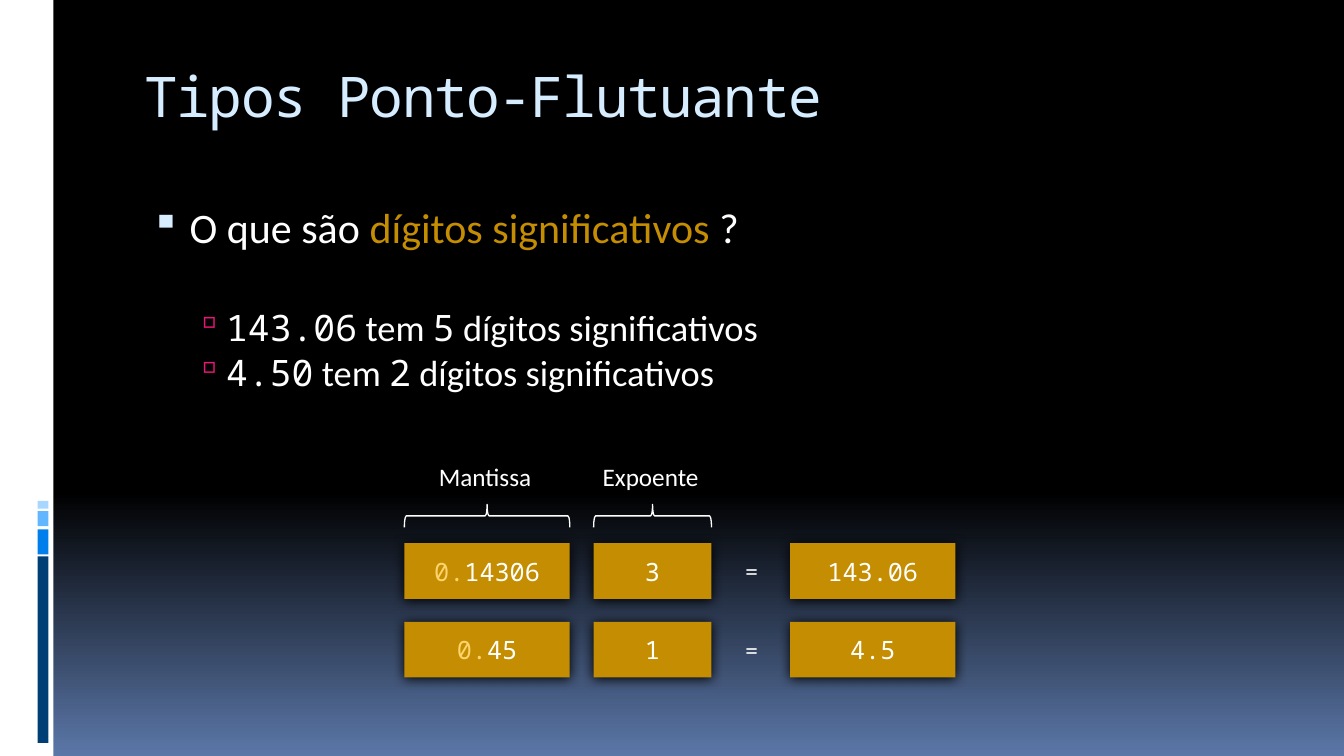
import copy

import pptx
import pptx.dml.color
import pptx.enum.shapes
import pptx.enum.text
import pptx.oxml
import pptx.oxml.ns
import pptx.util

Cm = pptx.util.Cm
Pt = pptx.util.Pt
SHAPES = pptx.enum.shapes.MSO_SHAPE
ALIGN = pptx.enum.text.PP_ALIGN
ANCHOR = pptx.enum.text.MSO_ANCHOR
MONO = "Noto Sans Mono"
SANS = "Calibri"
WHITE = "FFFFFF"
GOLD = "C58D01"
PALE_GOLD = "FED46C"
ICE = "D6ECFF"
PINK = "EA157A"


def color(value):
    """Return the colour for a hex string."""
    return pptx.dml.color.RGBColor.from_string(value)


def element(xml):
    """Parse one DrawingML element whose text has a place for the namespace."""
    return pptx.oxml.parse_xml(xml.replace("NS", pptx.oxml.ns.nsdecls("a"), 1))


def add_run(para, text, size, font=SANS, fill=WHITE):
    """Append a formatted run to a paragraph."""
    span = para.add_run()
    span.text = text
    span.font.size = Pt(size)
    span.font.name = font
    span.font.color.rgb = color(fill)
    return span


def add_bullet(para, mark, fill, percent, margin, hanging):
    """Give a paragraph a coloured bullet and a hanging indent."""
    properties = para._p.get_or_add_pPr()
    properties.set("marL", str(Cm(margin)))
    properties.set("indent", str(-Cm(hanging)))
    properties.append(element(f'<a:buClr NS><a:srgbClr val="{fill}"/></a:buClr>'))
    properties.append(element(f'<a:buSzPct NS val="{percent * 1000}"/>'))
    properties.append(element(f'<a:buChar NS char="{mark}"/>'))


def add_box(slide, left, top, width, height, fill):
    """Add a plain filled rectangle."""
    box = slide.shapes.add_shape(
        SHAPES.RECTANGLE, Cm(left), Cm(top), Cm(width), Cm(height))
    box.shadow.inherit = False
    box.fill.solid()
    box.fill.fore_color.rgb = color(fill)
    box.line.fill.background()
    return box


def add_value(slide, left, top, width, runs):
    """Add a gold box with a soft shadow and a centred number."""
    box = add_box(slide, left, top, width, 1.4, GOLD)
    effects = box._element.spPr.find(pptx.oxml.ns.qn("a:effectLst"))
    effects.append(element(
        f'<a:outerShdw NS blurRad="{Pt(8.5)}" dist="{Pt(1)}" dir="5400000" '
        'rotWithShape="0"><a:srgbClr val="000000"/></a:outerShdw>'))
    box.text_frame.vertical_anchor = ANCHOR.MIDDLE
    para = box.text_frame.paragraphs[0]
    para.alignment = ALIGN.CENTER
    for text, fill in runs:
        add_run(para, text, 18, MONO, fill)


def add_label(slide, left, top, width, text):
    """Add a one-line centred label."""
    box = slide.shapes.add_textbox(Cm(left), Cm(top), Cm(width), Cm(1.02))
    box.text_frame.word_wrap = False
    para = box.text_frame.paragraphs[0]
    para.alignment = ALIGN.CENTER
    add_run(para, text, 18)


def add_brace(slide, left, middle, width):
    """Add an upward brace that spans a column."""
    depth = 0.58
    brace = slide.shapes.add_shape(
        SHAPES.LEFT_BRACE, Cm(left + (width - depth) / 2),
        Cm(middle - width / 2), Cm(depth), Cm(width))
    brace.rotation = 90
    brace.shadow.inherit = False
    brace.fill.background()
    brace.line.color.rgb = color(WHITE)
    brace.line.width = Pt(0.94)


def set_background(slide):
    """Fade the background from black to blue at the bottom."""
    fill = slide.background.fill
    fill.gradient()
    fill.gradient_angle = 270
    dark, blue = fill.gradient_stops
    dark.color.rgb = color("000000")
    dark.position = 0
    blue.color.rgb = color("5B77A8")
    blue.position = 1
    first = slide.element.xpath(".//a:gs")[0]
    held = copy.deepcopy(first)
    held.set("pos", "65000")
    first.addnext(held)


def add_side_band(slide):
    """Add the white band and its stacked blue bars."""
    add_box(slide, 0, 0, 1.35, 19.05, WHITE)
    for top, height, fill in (
            (14.02, 4.7, "003F75"), (13.34, 0.63, "007EEB"),
            (12.88, 0.38, "61B6FF"), (12.62, 0.2, "A7D6FF")):
        add_box(slide, 0.95, top, 0.27, height, fill)


def set_title(slide, text):
    """Place and format the title."""
    title = slide.shapes.title
    title.left, title.top = Cm(3.39), Cm(1.42)
    title.width, title.height = Cm(28.78), Cm(2.54)
    frame = title.text_frame
    frame.auto_size = pptx.enum.text.MSO_AUTO_SIZE.NONE
    frame.vertical_anchor = ANCHOR.TOP
    para = frame.paragraphs[0]
    para.alignment = ALIGN.LEFT
    span = add_run(para, text, 40, MONO, ICE)
    span.font._element.set("spc", "-100")


def add_body(slide):
    """Add the question and its two examples."""
    box = slide.shapes.add_textbox(Cm(3.39), Cm(4.95), Cm(28.78), Cm(12.7))
    frame = box.text_frame
    frame.word_wrap = True
    para = frame.paragraphs[0]
    add_bullet(para, "▪", ICE, 95, 1.14, 0.97)
    add_run(para, "O que são ", 30)
    add_run(para, "dígitos significativos", 30, fill=GOLD)
    add_run(para, " ?", 30)
    for number, digits, gap in (("143.06", "5", 38), ("4.50", "2", 1)):
        para = frame.add_paragraph()
        para.level = 1
        add_bullet(para, "▫", PINK, 90, 2.06, 0.79)
        para.space_before = Pt(gap)
        add_run(para, number, 26, MONO)
        add_run(para, " tem ", 26)
        add_run(para, digits, 26, MONO)
        add_run(para, " dígitos significativos", 26)


def add_diagram(slide):
    """Add the mantissa and exponent table with its braces."""
    mantissa, exponent, result = (10.19, 4.17), (14.96, 2.97), (19.91, 4.17)
    for text, (left, width) in (("Mantissa", mantissa), ("Expoente", exponent)):
        add_label(slide, left - 0.05, 11.51, width, text)
        add_brace(slide, left, 13, width)
    for row, (digits, power, value) in enumerate(
            (("14306", "3", "143.06"), ("45", "1", "4.5"))):
        top = 13.69 + 1.98 * row
        cells = (
            (mantissa, (("0.", PALE_GOLD), (digits, WHITE))),
            (exponent, ((power, WHITE),)),
            (result, ((value, WHITE),)))
        for (left, width), runs in cells:
            add_value(slide, left, top, width, runs)
        add_label(slide, 18.52, top + 0.19, 0.84, "=")


def main():
    """Build the slide and save the deck."""
    deck = pptx.Presentation()
    deck.slide_width, deck.slide_height = Cm(33.87), Cm(19.05)
    page = deck.slides.add_slide(deck.slide_layouts.get_by_name("Title Only"))
    set_background(page)
    add_side_band(page)
    set_title(page, "Tipos Ponto-Flutuante")
    add_body(page)
    add_diagram(page)
    deck.save("out.pptx")


if __name__ == "__main__":
    main()
